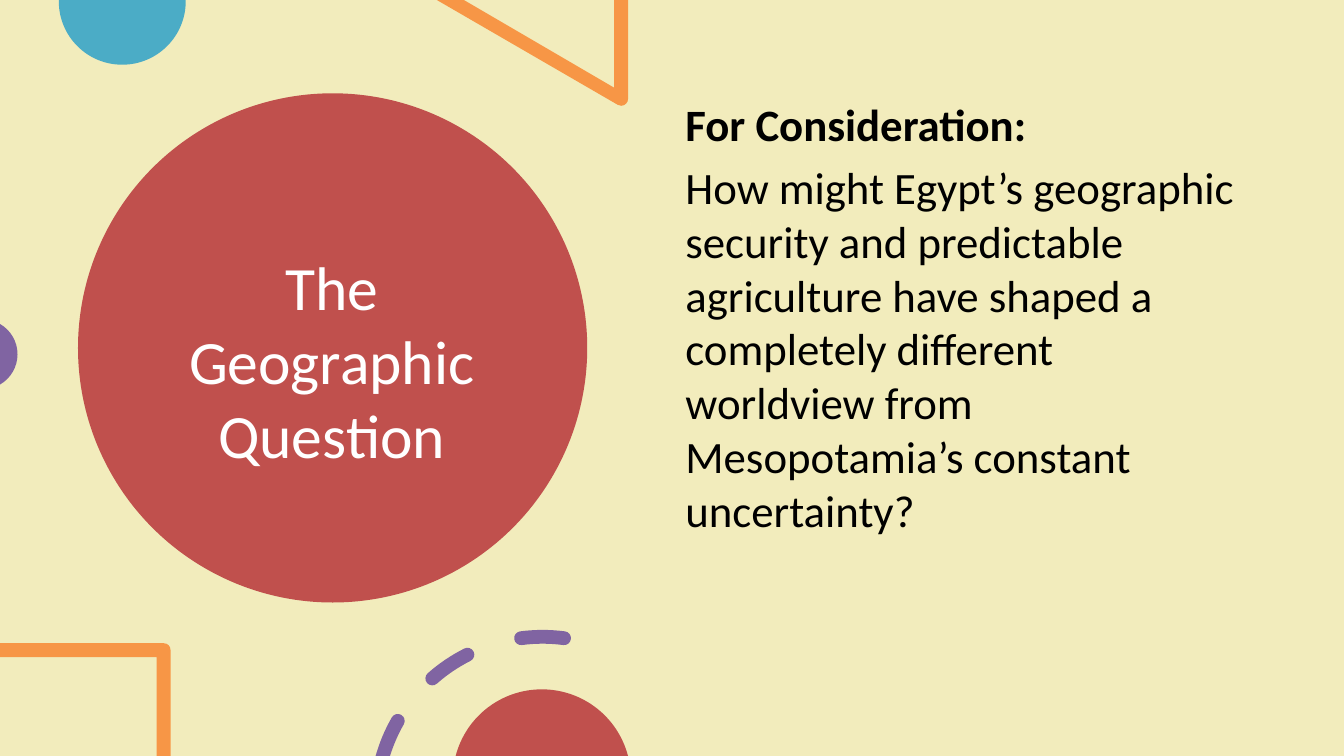
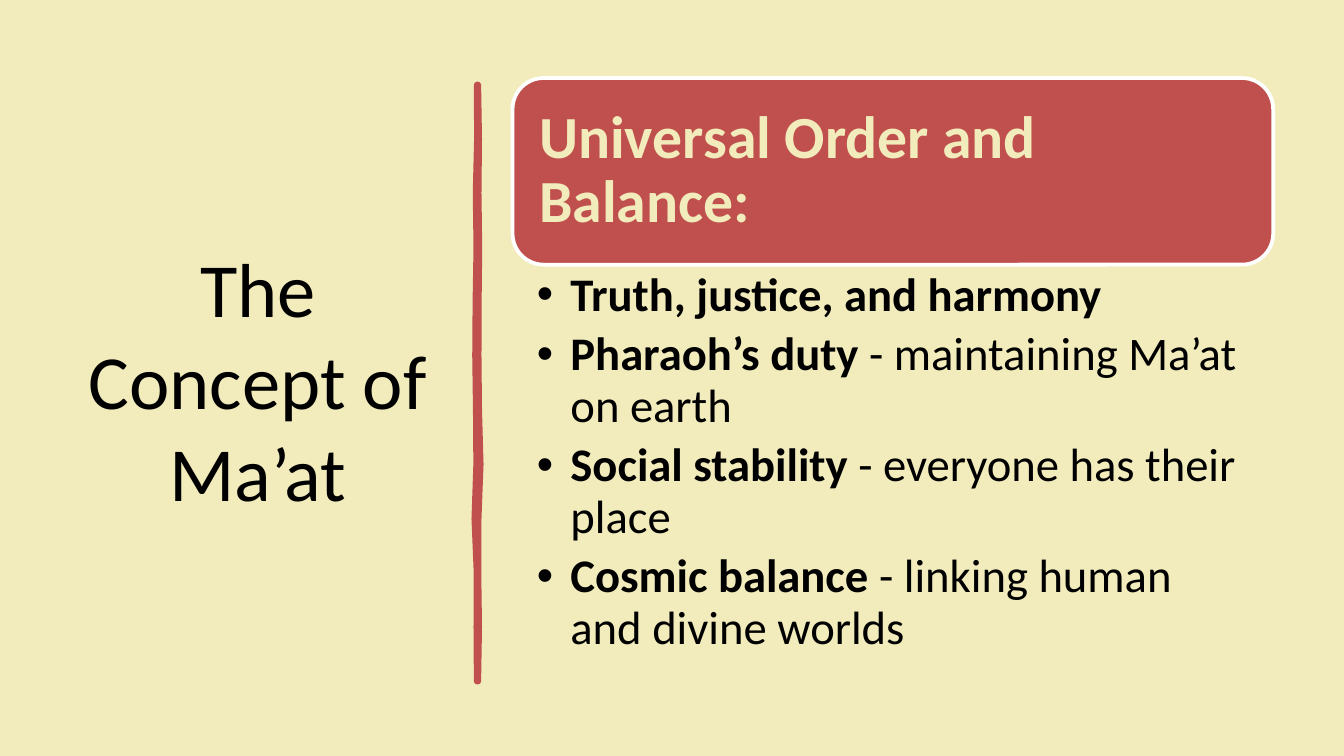
import math

import pptx
import pptx.dml.color
import pptx.enum.shapes
import pptx.enum.text
import pptx.oxml.ns
import pptx.util
from lxml import etree

Pt = pptx.util.Pt
qn = pptx.oxml.ns.qn
RGBColor = pptx.dml.color.RGBColor
MSO_SHAPE = pptx.enum.shapes.MSO_SHAPE
MSO_ANCHOR = pptx.enum.text.MSO_ANCHOR
MSO_AUTO_SIZE = pptx.enum.text.MSO_AUTO_SIZE
PP_ALIGN = pptx.enum.text.PP_ALIGN

WIDTH, HEIGHT = 720, 405
FONT = "Calibri"

CREAM = RGBColor(0xF2, 0xEC, 0xBC)
BLACK = RGBColor(0x00, 0x00, 0x00)
WHITE = RGBColor(0xFF, 0xFF, 0xFF)
RED = RGBColor(0xC0, 0x50, 0x4D)
BLUE = RGBColor(0x4B, 0xAC, 0xC6)
ORANGE = RGBColor(0xF7, 0x96, 0x46)
PURPLE = RGBColor(0x80, 0x64, 0xA2)

MAAT_POINTS = [
    ("Truth, justice, and harmony", ""),
    ("Pharaoh’s duty", " - maintaining Ma’at on earth"),
    ("Social stability", " - everyone has their place"),
    ("Cosmic balance", " - linking human and divine worlds"),
]


def style_run(r, size, color, bold=False):
    r.font.name = FONT
    r.font.size = Pt(size)
    r.font.bold = bold
    r.font.color.rgb = color


def style_shape(sp, fill, line=None, line_width=0):
    sp.shadow.inherit = False
    sp.fill.solid()
    sp.fill.fore_color.rgb = fill
    if line is None:
        sp.line.fill.background()
    else:
        sp.line.color.rgb = line
        sp.line.width = Pt(line_width)


def add_preset(slide, kind, box, fill, line=None, line_width=0):
    sp = slide.shapes.add_shape(kind, *map(Pt, box))
    style_shape(sp, fill, line, line_width)


def lines(*points):
    return [(pt,) for pt in points]


def polar(cx, cy, radius, angle):
    a = math.radians(angle)
    return cx + radius * math.cos(a), cy + radius * math.sin(a)


def arc(cx, cy, radius, start, end):
    """Line to the arc's start, then Bézier pieces of at most 90 degrees."""
    count = math.ceil(abs(end - start) / 90)
    step = (end - start) / count
    reach = 4 / 3 * math.tan(math.radians(step) / 4)
    segments = lines(polar(cx, cy, radius, start))
    for i in range(count):
        a, b = start + i * step, start + (i + 1) * step
        x0, y0 = polar(cx, cy, radius, a)
        x3, y3 = polar(cx, cy, radius, b)
        segments.append(((x0 - reach * (y0 - cy), y0 + reach * (x0 - cx)),
                         (x3 + reach * (y3 - cy), y3 - reach * (x3 - cx)),
                         (x3, y3)))
    return segments


def add_outline(slide, contours, fill, line=None, line_width=0):
    """Closed contours made of one-point lines and three-point curves."""
    first = contours[0][0][0]
    builder = slide.shapes.build_freeform(*map(Pt, first), scale=1.0)
    for i, contour in enumerate(contours):
        if i:
            builder.move_to(*map(Pt, contour[0][0]))
        builder.add_line_segments(
            [(Pt(x), Pt(y)) for seg in contour[1:] for x, y in seg], close=True)
    sp = builder.convert_to_shape()
    steps = sp.element.iter(qn("a:lnTo"))
    steps = iter(list(steps))
    for contour in contours:
        for seg in contour[1:]:
            nodes = [next(steps) for _ in seg]
            if len(nodes) == 3:
                curve = etree.Element(qn("a:cubicBezTo"))
                nodes[0].addprevious(curve)
                for node in nodes:
                    curve.append(node[0])
                    node.getparent().remove(node)
    style_shape(sp, fill, line, line_width)


def place(slide, sp, box):
    """Move a placeholder to a box and bring it to the front."""
    sp.left, sp.top, sp.width, sp.height = map(Pt, box)
    sp.text_frame.word_wrap = True
    sp.text_frame.auto_size = MSO_AUTO_SIZE.NONE
    slide.shapes.element.append(sp.element)
    return sp.text_frame


def set_title(slide, text, box, size, color):
    tf = place(slide, slide.shapes.title, box)
    tf.text = text
    tf.vertical_anchor = MSO_ANCHOR.MIDDLE
    p = tf.paragraphs[0]
    p.alignment = PP_ALIGN.CENTER
    style_run(p.runs[0], size, color)


def set_bullet(p, char=None, indent=0):
    pPr = p._p.get_or_add_pPr()
    pPr.set("marL", str(Pt(indent)))
    pPr.set("indent", str(-Pt(indent)))
    bu = etree.SubElement(pPr, qn("a:buChar" if char else "a:buNone"))
    if char:
        bu.set("char", char)


def set_body(slide, items, box, size, bullet=None, indent=0):
    """Fill the body with (bold lead, plain rest) paragraphs."""
    tf = place(slide, slide.placeholders[1], box)
    tf.vertical_anchor = MSO_ANCHOR.TOP
    for i, (lead, rest) in enumerate(items):
        p = tf.paragraphs[0] if i == 0 else tf.add_paragraph()
        for text, bold in ((lead, True), (rest, False)):
            if text:
                r = p.add_run()
                r.text = text
                style_run(r, size, BLACK, bold)
        set_bullet(p, bullet, indent)
    return tf


def set_margins(tf, left, top, right, bottom):
    tf.margin_left, tf.margin_top = Pt(left), Pt(top)
    tf.margin_right, tf.margin_bottom = Pt(right), Pt(bottom)


def add_dashed_ring(slide, cx, cy, radius, half):
    """Three dashes with round ends; the first runs off the bottom edge."""
    outer, inner = radius + half, radius - half

    def edge_angle(r):
        return 180 + math.degrees(math.asin((cy - HEIGHT) / r))

    def dash(start_outer, start_inner, end):
        return (arc(cx, cy, outer, start_outer, end)
                + arc(*polar(cx, cy, radius, end), half, end, end + 180)[1:]
                + arc(cx, cy, inner, end, start_inner)[1:])

    contours = [dash(edge_angle(outer), edge_angle(inner), 209.7)]
    for start, end in ((228.6, 243.2), (262.6, 277.4)):
        cap = arc(*polar(cx, cy, radius, start), half, start + 180, start + 360)
        contours.append(dash(start, start, end) + cap[1:])
    add_outline(slide, contours, PURPLE)


def add_top_decorations(slide):
    half_disc = lines((31.5, 0), (99.5, 0)) + arc(65.5, 0.7, 34, 0, 180)
    add_outline(slide, [half_disc], BLUE)
    triangle_corner = lines((336.5, 0), (329, 0), (329, 47), (248.5, 0),
                            (234, 0), (331, 56.2)) + [
        ((331.6, 56.5), (332.2, 56.7), (332.8, 56.7)),
        ((334.8, 56.7), (336.5, 55), (336.5, 53))]
    add_outline(slide, [triangle_corner], ORANGE)
    add_outline(slide, [arc(-9.3, 189.8, 18.7, -60, 60)], PURPLE)


def add_bottom_decorations(slide):
    square_corner = (lines((0, 344.6)) + arc(87.8, 348.2, 3.6, 270, 360)
                     + lines((91.4, HEIGHT), (84, HEIGHT), (84, 352), (0, 352)))
    add_outline(slide, [square_corner], ORANGE)
    add_dashed_ring(slide, 290.7, 430.5, 89.3, 3.7)
    add_outline(slide, [arc(290.3, 417, 47.7, 194.5, 345.5)], RED)


def add_brush_line(slide, x, top, bottom):
    """Vertical stroke whose two edges waver."""
    left = [0.3, 0.2, 0.9, 0.5, 1, 1.2, 0.8, 0.6, 1.6, 0.4, 0.5, 0.3]
    right = [0.3, 0.8, 0.5, 0.9, 0.6, 0.5, 0.8, 1.6, 0.5, 0.4, 0.8, 0.3]
    step = (bottom - top) / (len(left) - 1)
    points = [(x + d, top + i * step) for i, d in enumerate(right)]
    points += reversed([(x - d, top + i * step) for i, d in enumerate(left)])
    add_outline(slide, [lines(*points)], RED, RED, 3.25)


def add_heading_card(slide, text, box):
    left, top, width, height = box
    add_preset(slide, MSO_SHAPE.ROUNDED_RECTANGLE, box, RED, WHITE, 2)
    inset = 4.9
    inner = (left + inset, top + inset, width - 2 * inset, height - 2 * inset)
    tf = slide.shapes.add_textbox(*map(Pt, inner)).text_frame
    tf.word_wrap = True
    tf.vertical_anchor = MSO_ANCHOR.MIDDLE
    set_margins(tf, 9.4, 9.4, 9.4, 9.4)
    tf.text = text
    p = tf.paragraphs[0]
    p.line_spacing = 0.9
    style_run(p.runs[0], 32, CREAM, True)


def build_question_slide(slide):
    add_preset(slide, MSO_SHAPE.OVAL, (41.8, 50, 272.8, 272.8), RED)
    set_title(slide, "The Geographic Question", (82, 73, 191.5, 240), 33, WHITE)
    add_top_decorations(slide)
    question = ("How might Egypt’s geographic security and predictable "
                "agriculture have shaped a completely different worldview "
                "from Mesopotamia’s constant uncertainty?")
    tf = set_body(slide, [("For Consideration:", ""), ("", question)],
                  (360, 48.4, 310.3, 288.7), 24)
    for p in tf.paragraphs:
        p.space_before = Pt(4.8)
    add_bottom_decorations(slide)


def build_maat_slide(slide):
    set_title(slide, "The Concept of Ma’at", (37.4, 38.2, 201.6, 329.8), 41, BLACK)
    add_brush_line(slide, 255.8, 45.4, 365)
    add_heading_card(slide, "Universal Order and Balance:",
                     (274.6, 41.8, 407.5, 100))
    tf = set_body(slide, MAAT_POINTS, (274.6, 141.8, 407.5, 219), 25, "•", 18)
    set_margins(tf, 13, 2.9, 18, 2.9)
    for p in tf.paragraphs:
        p.line_spacing = 0.92
        p.space_before = Pt(0)
        p.space_after = Pt(4.3)


def main():
    prs = pptx.Presentation()
    prs.slide_width, prs.slide_height = Pt(WIDTH), Pt(HEIGHT)
    background = prs.slide_master.background.fill
    background.solid()
    background.fore_color.rgb = CREAM
    title_and_content = prs.slide_layouts[1]
    for build in (build_question_slide, build_maat_slide):
        build(prs.slides.add_slide(title_and_content))
    prs.save("out.pptx")


if __name__ == "__main__":
    main()
